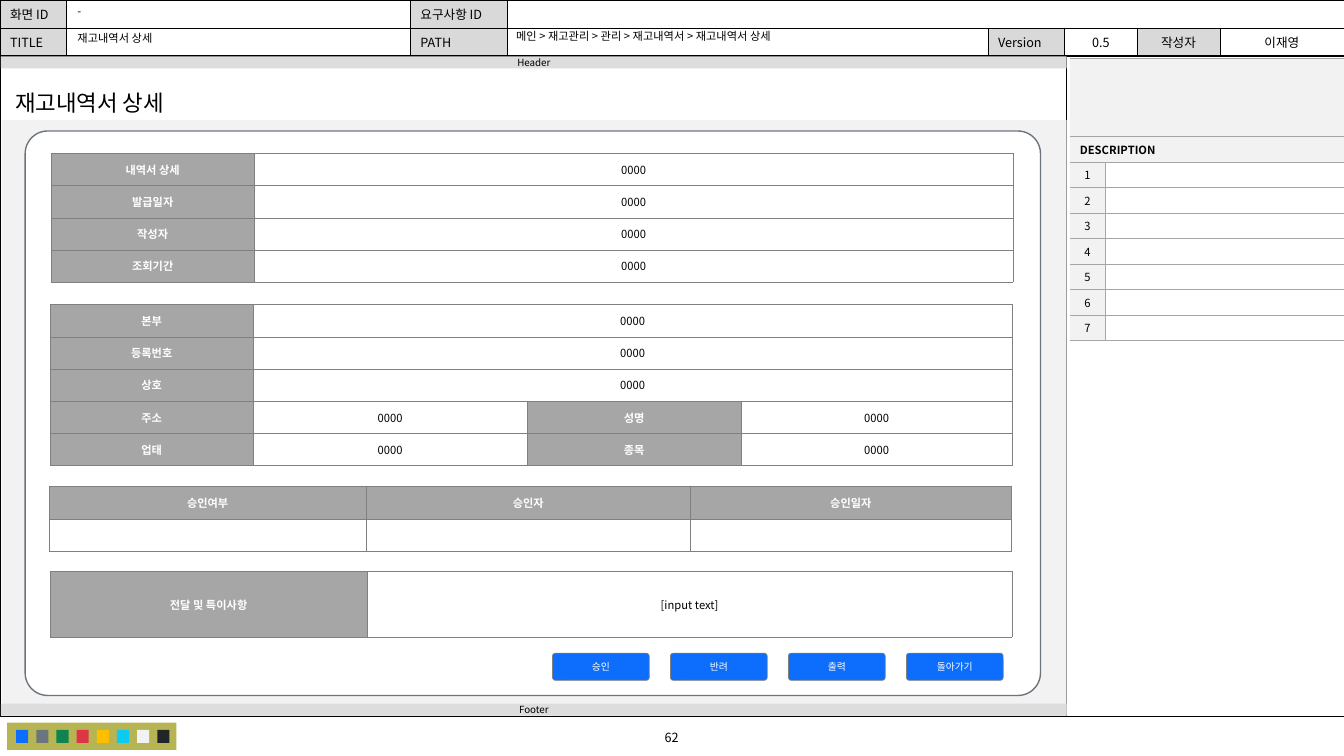
from lxml.etree import SubElement
from pptx import Presentation
from pptx.dml.color import RGBColor
from pptx.enum.shapes import MSO_CONNECTOR, MSO_SHAPE
from pptx.enum.text import MSO_ANCHOR, MSO_AUTO_SIZE, PP_ALIGN
from pptx.oxml.ns import qn
from pptx.util import Inches, Pt

BLACK = RGBColor(0x00, 0x00, 0x00)
WHITE = RGBColor(0xFF, 0xFF, 0xFF)
PALE = RGBColor(0xF2, 0xF2, 0xF2)
BAR = RGBColor(0xDD, 0xDD, 0xDD)
HEADING = RGBColor(0xD9, 0xD9, 0xD9)
SILVER = RGBColor(0xA6, 0xA6, 0xA6)
GRAY = RGBColor(0x80, 0x80, 0x80)
SLATE = RGBColor(0x6C, 0x75, 0x7D)
BLUE = RGBColor(0x0D, 0x6E, 0xFD)
OLIVE = RGBColor(0xB7, 0xB5, 0x53)
GREEN = RGBColor(0x10, 0x83, 0x4E)
RED = RGBColor(0xDC, 0x35, 0x45)
AMBER = RGBColor(0xFF, 0xBE, 0x00)
CYAN = RGBColor(0x0D, 0xCA, 0xF0)
INK = RGBColor(0x21, 0x25, 0x29)
FONT = "Noto Sans CJK KR"
LEFT, CENTER = PP_ALIGN.LEFT, PP_ALIGN.CENTER

# Cell looks: fill, text colour, bold, alignment
LOOKS = {
    "heading": (HEADING, BLACK, False, LEFT),
    "heading centred": (HEADING, BLACK, False, CENTER),
    "entry": (WHITE, BLACK, False, CENTER),
    "label": (SILVER, WHITE, True, CENTER),
    "number": (PALE, BLACK, False, CENTER),
    "description": (PALE, BLACK, True, LEFT),
}

deck = Presentation()
deck.slide_width, deck.slide_height = Inches(13.33), Inches(7.5)
page = deck.slides.add_slide(deck.slide_layouts[5])


def write(frame, text, size, color=BLACK, bold=False, align=LEFT, font=FONT):
    para = frame.paragraphs[0]
    para.alignment = align
    if not text:
        SubElement(para._p, qn("a:endParaRPr"), sz=str(size * 100))
        return
    span = para.add_run()
    span.text = text
    span.font.color.rgb = color
    for name, value in {"size": Pt(size), "bold": bold, "name": font}.items():
        setattr(span.font, name, value)
    SubElement(span.font._element, qn("a:ea"), typeface=font)


def add_grid(left, top, columns, rows, cells, line, width, size=8, sides="LRTB"):
    """Cells are (text, look) pairs; None continues the cell on its left."""
    frame = page.shapes.add_table(len(rows), len(columns), Inches(left), Inches(top),
                                  Inches(sum(columns)), Inches(sum(rows)))
    grid = frame.table
    grid._tbl.tblPr.find(qn("a:tableStyleId")).text = "{2D5ABB26-0587-4C30-8999-92F81FD0307C}"
    for column, length in zip(grid.columns, columns):
        column.width = Inches(length)
    for row, length in zip(grid.rows, rows):
        row.height = Inches(length)
    for r, entries in enumerate(cells):
        for c, entry in enumerate(entries):
            cell = grid.cell(r, c)
            text, look = entry or ("", "entry")
            fill, color, bold, align = LOOKS[look]
            margin = Inches(0.1 if align == LEFT else 0.06)
            for name, value in {"margin_left": margin, "margin_right": margin,
                                "margin_top": Inches(0.04), "margin_bottom": Inches(0.04),
                                "vertical_anchor": MSO_ANCHOR.MIDDLE}.items():
                setattr(cell, name, value)
            write(cell.text_frame, text, size, color, bold, align)
            for side in sides:
                border = SubElement(cell._tc.tcPr, qn("a:ln" + side), w=str(Pt(width)))
                paint = SubElement(border, qn("a:solidFill"))
                SubElement(paint, qn("a:srgbClr"), val=str(line))
            cell.fill.solid()
            cell.fill.fore_color.rgb = fill
            if entry and entries[c + 1:c + 2] == [None]:
                last = c + 1
                while last + 1 < len(entries) and entries[last + 1] is None:
                    last += 1
                cell.merge(grid.cell(r, last))


# Document header
add_grid(0, 0, [0.66, 3.41, 0.96, 4.77, 0.76, 0.72, 0.82, 1.23], [0.28] * 2, [
    [("화면 ID", "heading"), ("", "entry"), ("요구사항 ID", "heading"),
     ("", "entry"), None, None, None, None],
    [("TITLE", "heading"), ("", "entry"), ("PATH", "heading"), ("", "entry"),
     ("Version", "heading"), ("0.5", "entry"), ("작성자", "heading centred"), ("이재영", "entry")],
], BLACK, 0.5, size=9)

# Frame, backdrop, bars, colour swatches, card and buttons
RECTANGLE, ROUNDED = MSO_SHAPE.RECTANGLE, MSO_SHAPE.ROUNDED_RECTANGLE
panels = [
    # kind, left, top, width, height, fill, line, line width, text, size, colour, font
    (RECTANGLE, 0, 0.55, 13.33, 6.56, None, BLACK, 0.25, "", 7, BLACK, FONT),
    (RECTANGLE, 0.07, 7.17, 1.68, 0.27, OLIVE, None, 0, "", 7, BLACK, FONT),
]
for i, swatch in enumerate([BLUE, SLATE, GREEN, RED, AMBER, CYAN, PALE, INK]):
    panels.append((RECTANGLE, 0.16 + 0.2 * i, 7.24, 0.12, 0.13, swatch, None, 0,
                   "", 7, BLACK, FONT))
panels.append((RECTANGLE, 0.02, 1.19, 10.56, 5.91, PALE, None, 0, "", 7, BLACK, FONT))
for bar, top in [("Footer", 6.98), ("Header", 0.56)]:
    panels.append((RECTANGLE, 0.01, top, 10.57, 0.12, BAR, None, 0, bar, 7, BLACK, FONT))
panels.append((ROUNDED, 0.25, 1.3, 10.07, 5.6, WHITE, SLATE, 1, "", 7, BLACK, FONT))
for i, action in enumerate(["승인", "반려", "출력", "돌아가기"]):
    panels.append((ROUNDED, 5.48 + 1.17 * i, 6.48, 0.96, 0.27, BLUE, GRAY, 0.5,
                   action, 7, WHITE, "Cabin"))

# Divider between the screen and its description
divider = page.shapes.add_connector(MSO_CONNECTOR.STRAIGHT, Inches(10.58), Inches(0.56),
                                    Inches(10.58), Inches(7.11))
divider.line.color.rgb = BLACK
divider.line.width = Pt(0.5)
SubElement(divider._element.spPr, qn("a:effectLst"))

for kind, left, top, width, height, fill, line, weight, text, size, color, font in panels:
    panel = page.shapes.add_shape(kind, Inches(left), Inches(top), Inches(width), Inches(height))
    panel.shadow.inherit = False
    if kind == ROUNDED:
        panel.adjustments[0] = 0.11 if text else 0.04
    if fill is None:
        panel.fill.background()
    else:
        panel.fill.solid()
        panel.fill.fore_color.rgb = fill
    if line is None:
        panel.line.fill.background()
    else:
        panel.line.color.rgb = line
        panel.line.width = Pt(weight)
    if text:
        panel.text_frame.vertical_anchor = MSO_ANCHOR.MIDDLE
        panel.text_frame.margin_top = panel.text_frame.margin_bottom = 0
        write(panel.text_frame, text, size, color, align=CENTER, font=font)

# Screen title
title = page.shapes.title
for name, value in {"left": 0.05, "top": 0.83, "width": 1.85, "height": 0.37}.items():
    setattr(title, name, Inches(value))
for name, value in {"word_wrap": False, "auto_size": MSO_AUTO_SIZE.NONE,
                    "vertical_anchor": MSO_ANCHOR.TOP}.items():
    setattr(title.text_frame, name, value)
write(title.text_frame, "재고내역서 상세", 16)

# Header entries and page number
for text, left, top, width, height, size, align in [
    ("메인 > 재고관리 > 관리 > 재고내역서 > 재고내역서 상세", 5.02, 0.26, 4.74, 0.23, 8, LEFT),
    ("-", 0.67, 0.01, 3.4, 0.23, 8, LEFT),
    ("재고내역서 상세", 0.67, 0.28, 3.38, 0.2, 8, LEFT),
    ("62", 5.37, 7.19, 2.58, 0.25, 9, CENTER),
]:
    box = page.shapes.add_textbox(Inches(left), Inches(top), Inches(width), Inches(height))
    box.text_frame.word_wrap = True
    write(box.text_frame, text, size, align=align)
    box.text_frame.paragraphs[0].line_spacing = 0.9 if align == LEFT else 1.0

# Description list
add_grid(10.61, 0.58, [0.35, 2.37], [0.77, 0.26] + [1.77 / 7] * 7,
         [[("", "number"), None], [("DESCRIPTION", "description"), None]]
         + [[(str(n), "number"), ("", "entry")] for n in range(1, 8)],
         SILVER, 0.5, sides="RTB")

# Statement details
VALUE = ("0000", "entry")
add_grid(0.51, 1.52, [2.01, 7.53], [0.32] * 4,
         [[(name, "label"), VALUE] for name in ["내역서 상세", "발급일자", "작성자", "조회기간"]],
         GRAY, 0.25)

# Company details
add_grid(0.5, 3.02, [2.01, 2.72, 2.12, 2.69], [0.32] * 5,
         [[(name, "label"), VALUE, None, None] for name in ["본부", "등록번호", "상호"]]
         + [[(first, "label"), VALUE, (second, "label"), VALUE]
            for first, second in [("주소", "성명"), ("업태", "종목")]],
         GRAY, 0.25)

# Approval and remarks
add_grid(0.49, 4.82, [3.14, 3.22, 3.18], [0.33, 0.32],
         [[(name, "label") for name in ["승인여부", "승인자", "승인일자"]], [("", "entry")] * 3],
         GRAY, 0.25)
add_grid(0.5, 5.67, [3.14, 6.4], [0.65],
         [[("전달 및 특이사항", "label"), ("[input text]", "entry")]], GRAY, 0.25)

deck.save("out.pptx")
